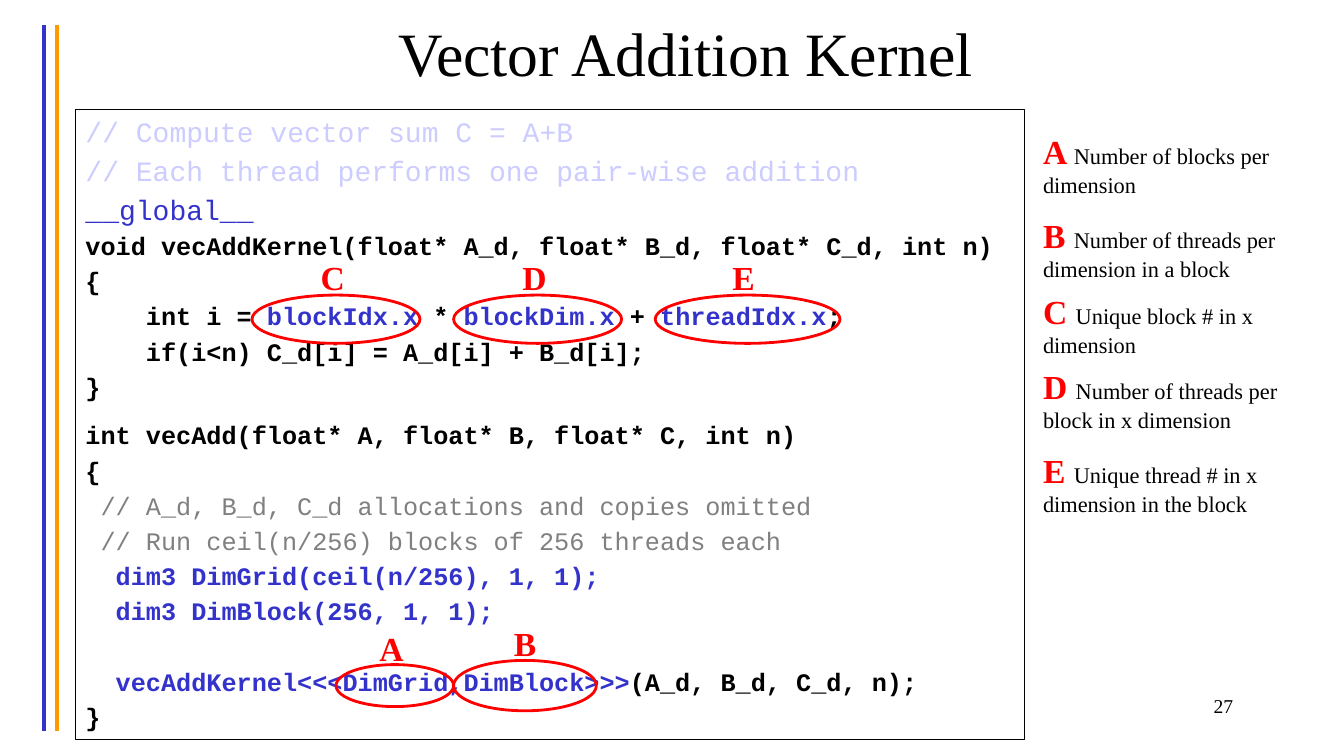
from dataclasses import dataclass

from lxml import etree
from pptx import Presentation
from pptx.dml.color import RGBColor
from pptx.enum.shapes import MSO_CONNECTOR, MSO_SHAPE
from pptx.enum.text import MSO_ANCHOR, PP_ALIGN
from pptx.oxml.ns import qn
from pptx.util import Emu, Pt

STRAIGHT = MSO_CONNECTOR.STRAIGHT
RECTANGLE, OVAL = MSO_SHAPE.RECTANGLE, MSO_SHAPE.OVAL
TOP, MIDDLE = MSO_ANCHOR.TOP, MSO_ANCHOR.MIDDLE
LEFT, CENTER, RIGHT = PP_ALIGN.LEFT, PP_ALIGN.CENTER, PP_ALIGN.RIGHT

EMU_PER_PX = 9525
SERIF, MONO = "Times New Roman", "Courier New"
BLACK, BLUE, PALE_BLUE = "000000", "3333CC", "CCCCFF"
GRAY, ORANGE, RED = "808080", "FF9900", "FF0000"


@dataclass(frozen=True)
class Box:
    left: int
    top: int
    width: int
    height: int


@dataclass(frozen=True)
class Run:
    text: str
    color: str = BLACK
    bold: bool = True
    size: int = 18
    font: str = MONO


@dataclass(frozen=True)
class Line:
    runs: tuple[Run, ...]
    before: float = 3.5


@dataclass(frozen=True)
class Marker:
    letter: str
    label: Box
    ellipse: Box
    note_top: int
    note: str


CODE = [
    Line((Run("// Compute vector sum C = A+B", PALE_BLUE, False, 20),), 0),
    Line((Run("// Each thread performs one pair-wise addition", PALE_BLUE, False, 20),), 3.8),
    Line((Run("__global__", BLUE, False, 20),), 3.8),
    Line((Run("void vecAddKernel(float* A_d, float* B_d, float* C_d, int n)"),)),
    Line((Run("{"),)),
    Line((
        Run("    int i = "), Run("blockIdx.x ", BLUE), Run("* "), Run("blockDim.x", BLUE),
        Run(" + "), Run("threadIdx.x", BLUE), Run(";"),
    )),
    Line((Run("    if(i<n) C_d[i] = A_d[i] + B_d[i];"),)),
    Line((Run("}"),)),
    Line((Run("int vecAdd(float* A, float* B, float* C, int n)"),), 13.2),
    Line((Run("{"),)),
    Line((Run(" // A_d, B_d, C_d allocations and copies omitted", GRAY, False),)),
    Line((Run(" // Run ceil(n/256) blocks of 256 threads each", GRAY, False),)),
    Line((Run("  dim3 DimGrid(ceil(n/256), 1, 1);", BLUE),)),
    Line((Run("  dim3 DimBlock(256, 1, 1);", BLUE),)),
    Line((Run("  vecAddKernel<<<DimGrid,DimBlock>>>", BLUE), Run("(A_d, B_d, C_d, n);")), 29),
    Line((Run("}"),)),
]

MARKERS = [
    Marker("A", Box(352, 593, 44, 48), Box(320, 633, 112, 40), 120,
           "Number of blocks per dimension"),
    Marker("B", Box(480, 589, 44, 48), Box(432, 629, 136, 48), 200,
           "Number of threads per dimension in a block"),
    Marker("C", Box(296, 240, 44, 48), Box(240, 281, 160, 46), 272,
           "Unique block # in x dimension"),
    Marker("D", Box(488, 240, 44, 48), Box(432, 281, 160, 46), 344,
           "Number of threads per block in x dimension"),
    Marker("E", Box(688, 240, 44, 48), Box(624, 281, 176, 46), 424,
           "Unique thread # in x dimension in the block"),
]


def px(length: int) -> Emu:
    return Emu(length * EMU_PER_PX)


def rgb(color: str) -> RGBColor:
    return RGBColor.from_string(color)


def place(box: Box) -> tuple[Emu, Emu, Emu, Emu]:
    return px(box.left), px(box.top), px(box.width), px(box.height)


def add_rule(slide, x: int, color: str) -> None:
    """Draw one of the vertical stripes at the left edge."""
    rule = slide.shapes.add_connector(STRAIGHT, px(x), px(24), px(x), px(696))
    rule.line.color.rgb = rgb(color)
    rule.line.width = Pt(3)
    etree.SubElement(rule._element.spPr, qn("a:effectLst"))


def add_outline(slide, kind, box: Box, color: str, width: float):
    shape = slide.shapes.add_shape(kind, *place(box))
    shape.shadow.inherit = False
    shape.fill.background()
    shape.line.color.rgb = rgb(color)
    shape.line.width = Pt(width)
    return shape


def write_text(shape, lines: list[Line], *, align=LEFT, anchor=TOP) -> None:
    frame = shape.text_frame
    frame.word_wrap = True
    frame.vertical_anchor = anchor
    for index, line in enumerate(lines):
        paragraph = frame.add_paragraph() if index else frame.paragraphs[0]
        paragraph.alignment = align
        paragraph.space_before = Pt(line.before)
        for part in line.runs:
            run = paragraph.add_run()
            run.text = part.text
            run.font.name = part.font
            run.font.size = Pt(part.size)
            run.font.bold = part.bold
            run.font.color.rgb = rgb(part.color)


def add_text(slide, box: Box, *runs: Run, align=LEFT, anchor=TOP) -> None:
    shape = slide.shapes.add_textbox(*place(box))
    write_text(shape, [Line(runs, 0)], align=align, anchor=anchor)


def add_marker(slide, marker: Marker) -> None:
    """Circle a code term, letter it and explain the letter at the right."""
    add_outline(slide, OVAL, marker.ellipse, RED, 2)
    add_text(slide, marker.label, Run(marker.letter, RED, True, 24, SERIF))
    add_text(slide, Box(984, marker.note_top, 288, 74),
             Run(f"{marker.letter} ", RED, True, 24, SERIF),
             Run(marker.note, BLACK, False, 16, SERIF))


def main() -> None:
    presentation = Presentation()
    presentation.slide_width, presentation.slide_height = px(1280), px(720)
    slide = presentation.slides.add_slide(presentation.slide_layouts[6])

    add_rule(slide, 42, BLUE)
    add_rule(slide, 54, ORANGE)
    add_text(slide, Box(72, 0, 1163, 98), Run("Vector Addition Kernel", BLACK, False, 44, SERIF),
             align=CENTER, anchor=MIDDLE)
    code_panel = add_outline(slide, RECTANGLE, Box(72, 104, 904, 600), BLACK, 0.75)
    write_text(code_panel, CODE)
    add_text(slide, Box(917, 656, 267, 48), Run("27", BLACK, False, 14, SERIF), align=RIGHT)
    for marker in MARKERS:
        add_marker(slide, marker)

    presentation.save("out.pptx")


if __name__ == "__main__":
    main()
